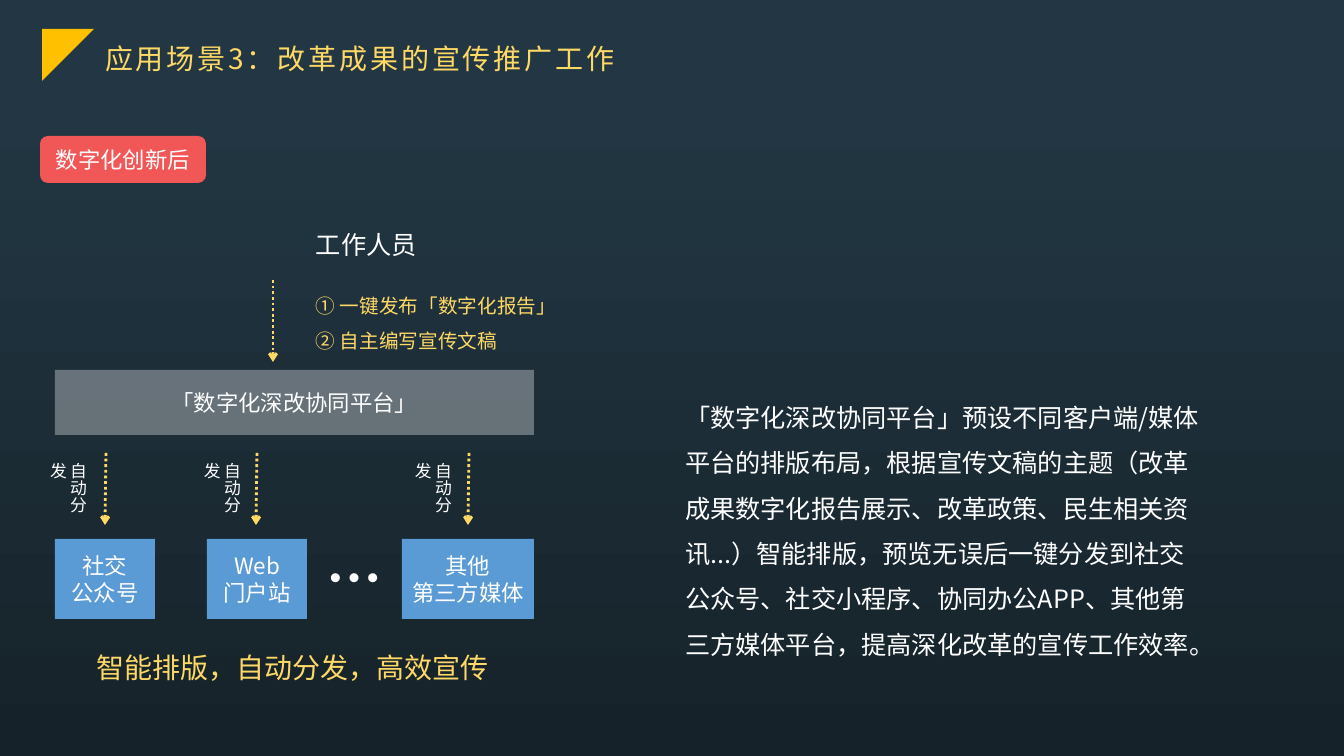
import pptx
import pptx.util
import pptx.dml.color
import pptx.enum.dml
import pptx.enum.shapes
import pptx.enum.text
import pptx.oxml.ns
from lxml import etree

EMU_PER_PX = 914400 / 100.8
FONT = "Noto Sans CJK SC"
COLORS = {
    "night": "16222A",
    "slate": "223743",
    "white": "FFFFFF",
    "pale gold": "FFD966",
    "gold": "FFC000",
    "red": "F15757",
    "blue": "5B9BD5",
}
# text, box left, box width, label left, arrow x
CHANNELS = [
    ("社交\n公众号", 55, 100, 53, 106),
    ("Web\n门户站", 207, 100, 207, 257),
    ("其他\n第三方媒体", 402, 132, 418, 469),
]
DESCRIPTION = (
    "「数字化深改协同平台」预设不同客户端/媒体平台的排版布局，"
    "根据宣传文稿的主题（改革成果数字化报告展示、改革政策、民生相关资讯...）智能排版，"
    "预览无误后一键分发到社交公众号、社交小程序、协同办公APP、其他第三方媒体平台，"
    "提高深化改革的宣传工作效率。"
)
SHAPES = pptx.enum.shapes.MSO_SHAPE
LEFT = pptx.enum.text.PP_ALIGN.LEFT
CENTER = pptx.enum.text.PP_ALIGN.CENTER
TOP = pptx.enum.text.MSO_ANCHOR.TOP
MIDDLE = pptx.enum.text.MSO_ANCHOR.MIDDLE


def px(*lengths):
    return [pptx.util.Emu(round(length * EMU_PER_PX)) for length in lengths]


def rgb(color):
    return pptx.dml.color.RGBColor.from_string(COLORS[color])


def add_element(parent, tag, **attributes):
    return etree.SubElement(parent, pptx.oxml.ns.qn(tag), attributes)


def write(holder, text, size=16, color="white", align=LEFT, anchor=TOP, bold=False,
          line_spacing=None, tracking=None, vertical=False):
    """Fill a shape, text box or placeholder with one paragraph per line of text."""
    frame = holder.text_frame
    frame.word_wrap = True
    frame.auto_size = pptx.enum.text.MSO_AUTO_SIZE.NONE
    frame.vertical_anchor = anchor
    if vertical:
        frame._txBody.bodyPr.set("vert", "eaVert")
    for index, line in enumerate(text.split("\n")):
        paragraph = frame.add_paragraph() if index else frame.paragraphs[0]
        if holder.is_placeholder:
            properties = paragraph._p.get_or_add_pPr()
            properties.set("marL", "0")
            properties.set("indent", "0")
            add_element(properties, "a:buNone")
        paragraph.alignment = align
        paragraph.space_before = pptx.util.Pt(0)
        if line_spacing:
            paragraph.line_spacing = line_spacing
        run = paragraph.add_run()
        run.text = line
        run.font.size = pptx.util.Pt(size)
        run.font.bold = bold
        run.font.color.rgb = rgb(color)
        run.font.name = FONT
        run_properties = run._r.get_or_add_rPr()
        add_element(run_properties, "a:ea", typeface=FONT)
        if tracking:
            run_properties.set("spc", str(tracking * 100))


def add_label(slide, box, text, **text_format):
    write(slide.shapes.add_textbox(*px(*box)), text, **text_format)


def fill_placeholder(placeholder, box, text, **text_format):
    placeholder.left, placeholder.top, placeholder.width, placeholder.height = px(*box)
    write(placeholder, text, **text_format)


def add_block(slide, box, color, text="", preset=SHAPES.RECTANGLE, opacity=None):
    block = slide.shapes.add_shape(preset, *px(*box))
    block.shadow.inherit = False
    block.line.fill.background()
    block.fill.solid()
    block.fill.fore_color.rgb = rgb(color)
    if opacity:
        tint = block._element.spPr.find(".//" + pptx.oxml.ns.qn("a:srgbClr"))
        add_element(tint, "a:alpha", val=str(opacity * 1000))
    if text:
        write(block, text, align=CENTER, anchor=MIDDLE)
    return block


def add_dotted_arrow(slide, start_x, start_y, end_x, end_y):
    arrow = slide.shapes.add_connector(
        pptx.enum.shapes.MSO_CONNECTOR.STRAIGHT, *px(start_x, start_y, end_x, end_y))
    arrow.line.color.rgb = rgb("pale gold")
    arrow.line.width = pptx.util.Pt(2)
    arrow.line.dash_style = pptx.enum.dml.MSO_LINE.ROUND_DOT
    add_element(arrow.line._get_or_add_ln(), "a:tailEnd", type="arrow")
    add_element(arrow._element.spPr, "a:effectLst")


def paint_background(slide):
    fill = slide.background.fill
    fill.gradient()
    fill.gradient_angle = 90
    for stop, color, position in zip(fill.gradient_stops, ("night", "slate"), (0, 0.87)):
        stop.color.rgb = rgb(color)
        stop.position = position


def add_channel(slide, text, box_left, box_width, label_left, arrow_x):
    add_block(slide, (box_left, 539, box_width, 80), "blue", text)
    add_dotted_arrow(slide, arrow_x, 453, arrow_x - 1, 525)
    add_label(slide, (label_left, 453, 40, 81), "自动分发", size=12, vertical=True)


def main():
    deck = pptx.Presentation()
    deck.slide_width, deck.slide_height = px(1344, 756)
    slide = deck.slides.add_slide(deck.slide_layouts[1])
    paint_background(slide)

    corner = add_block(slide, (42, 29, 52, 52), "gold", preset=SHAPES.RIGHT_TRIANGLE)
    corner.rotation = 90
    fill_placeholder(slide.shapes.title, (94, 29, 731, 59),
                     "应用场景3：改革成果的宣传推广工作",
                     size=20, color="pale gold", anchor=MIDDLE, tracking=2)
    slide.shapes.title.text_frame.margin_left = px(11)[0]
    add_block(slide, (40, 136, 166, 47), "red", "数字化创新后",
              preset=SHAPES.ROUNDED_RECTANGLE)

    add_label(slide, (306, 224, 145, 40), "工作人员", size=18)
    add_dotted_arrow(slide, 273, 280, 273, 362)
    add_label(slide, (306, 277, 348, 82), "① 一键发布「数字化报告」\n② 自主编写宣传文稿",
              size=14, color="pale gold", line_spacing=1.5)
    add_block(slide, (55, 370, 479, 65), "white", "「数字化深改协同平台」", opacity=33)

    for channel in CHANNELS:
        add_channel(slide, *channel)
    add_label(slide, (306, 539, 96, 78), "…", size=40, align=CENTER, bold=True)
    add_label(slide, (53, 646, 479, 44), "智能排版，自动分发，高效宣传",
              size=20, color="pale gold", align=CENTER)

    fill_placeholder(slide.placeholders[1], (675, 382, 542, 285), DESCRIPTION,
                     size=18, line_spacing=1.5)
    deck.save("out.pptx")


if __name__ == "__main__":
    main()
